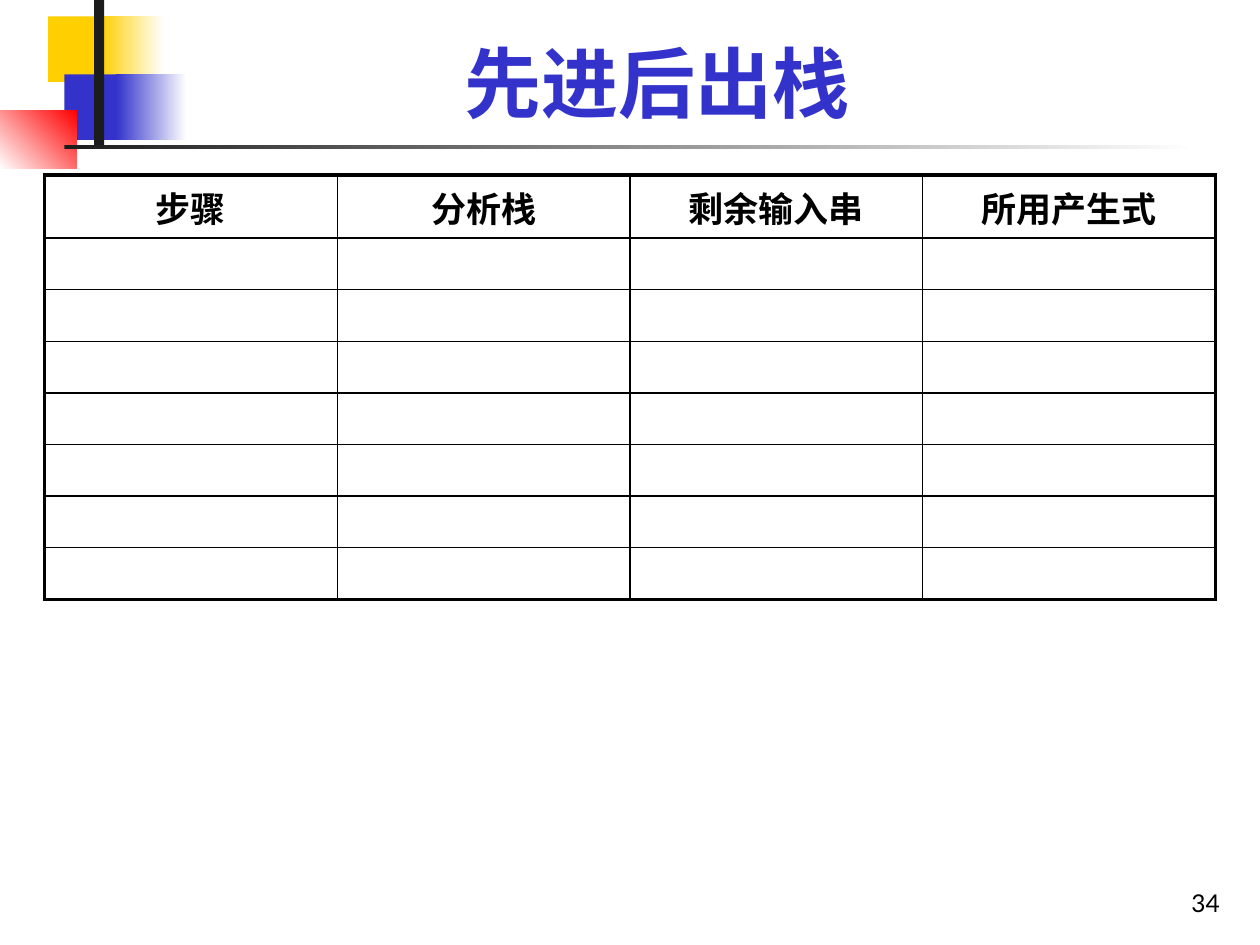
from lxml import etree
from pptx import Presentation
from pptx import util as u
from pptx.dml.color import RGBColor
from pptx.enum import shapes, text
from pptx.oxml import ns

COLORS = {
    "yellow": "FFCF01",
    "blue": "3333CC",
    "red": "FF0000",
    "dark": "1C1C1C",
    "white": "FFFFFF",
    "black": "000000",
}
HEADINGS = ["步骤", "分析栈", "剩余输入串", "所用产生式"]
ROW_COUNT = 8
THICK, THIN = 2.25, 1


def rgb(name):
    return RGBColor.from_string(COLORS[name])


def place(shape, left, top, width, height):
    shape.left, shape.top = u.Cm(left), u.Cm(top)
    shape.width, shape.height = u.Cm(width), u.Cm(height)


def add_block(page, bounds, start, end=None, angle=0):
    block = page.shapes.add_shape(
        shapes.MSO_SHAPE.RECTANGLE, *[u.Cm(value) for value in bounds]
    )
    block.shadow.inherit = False
    block.line.fill.background()
    if end is None:
        block.fill.solid()
        block.fill.fore_color.rgb = rgb(start)
        return
    block.fill.gradient()
    block.fill.gradient_angle = angle
    for stop, color, position in zip(block.fill.gradient_stops, (start, end), (0, 1)):
        stop.color.rgb = rgb(color)
        stop.position = position


def add_decoration(page):
    add_block(page, (0.97, 0.33, 1.7, 1.32), "yellow")
    add_block(page, (2.03, 0.33, 1.27, 1.32), "yellow", "white")
    add_block(page, (1.3, 1.5, 1.63, 1.32), "blue")
    add_block(page, (2.34, 1.5, 1.42, 1.32), "blue", "white")
    add_block(page, (0, 2.22, 1.55, 1.18), "white", "red", 45)
    add_block(page, (1.9, 0, 0.2, 2.92), "dark")
    add_block(page, (1.3, 2.92, 22.86, 0.08), "dark", "white")


def write(frame, words, size, align, color="black", font="Times New Roman", bold=True):
    frame.word_wrap = True
    para = frame.paragraphs[0]
    para.text = words
    para.alignment = align
    para.font.name = font
    para.font.size = u.Pt(size)
    para.font.bold = bold
    para.font.color.rgb = rgb(color)


def add_title(page):
    title = page.shapes.title
    place(title, 3.2, 0.58, 20.1, 2.13)
    title.text_frame.vertical_anchor = text.MSO_ANCHOR.BOTTOM
    write(title.text_frame, "先进后出栈", 44, text.PP_ALIGN.CENTER, "blue")


def add_page_number(page):
    box = page.shapes.add_textbox(u.Cm(19.56), u.Cm(17.35), u.Cm(5.28), u.Cm(1.27))
    box.text_frame.vertical_anchor = text.MSO_ANCHOR.BOTTOM
    write(box.text_frame, "34", 14, text.PP_ALIGN.RIGHT, font="Lato", bold=False)


def set_borders(cell, widths):
    properties = cell._tc.get_or_add_tcPr()
    for side, width in widths.items():
        line = etree.SubElement(properties, ns.qn(f"a:ln{side}"), w=str(u.Pt(width)))
        fill = etree.SubElement(line, ns.qn("a:solidFill"))
        etree.SubElement(fill, ns.qn("a:srgbClr"), val=COLORS["black"])


def add_stack_table(page):
    column_count = len(HEADINGS)
    table = page.shapes.add_table(
        ROW_COUNT, column_count, u.Cm(0.9), u.Cm(3.53), u.Cm(23.6), u.Cm(8.55)
    ).table
    table.first_row = False
    table.horz_banding = False
    for i, row in enumerate(table.rows):
        row.height = u.Cm(1.27 if i == 0 else 1.04)
        for j, cell in enumerate(row.cells):
            set_borders(cell, {
                "L": THICK if j == 0 else THIN,
                "R": THICK if j == column_count - 1 else THIN,
                "T": THICK if i == 0 else THIN,
                "B": THICK if i == ROW_COUNT - 1 else THIN,
            })
            cell.fill.background()
    for cell, heading in zip(table.rows[0].cells, HEADINGS):
        write(cell.text_frame, heading, 20, text.PP_ALIGN.CENTER)


def main():
    deck = Presentation()
    deck.slide_width, deck.slide_height = u.Cm(25.4), u.Cm(19.05)
    page = deck.slides.add_slide(deck.slide_layouts.get_by_name("Title Only"))
    add_decoration(page)
    add_page_number(page)
    add_title(page)
    add_stack_table(page)
    deck.save("out.pptx")


if __name__ == "__main__":
    main()
